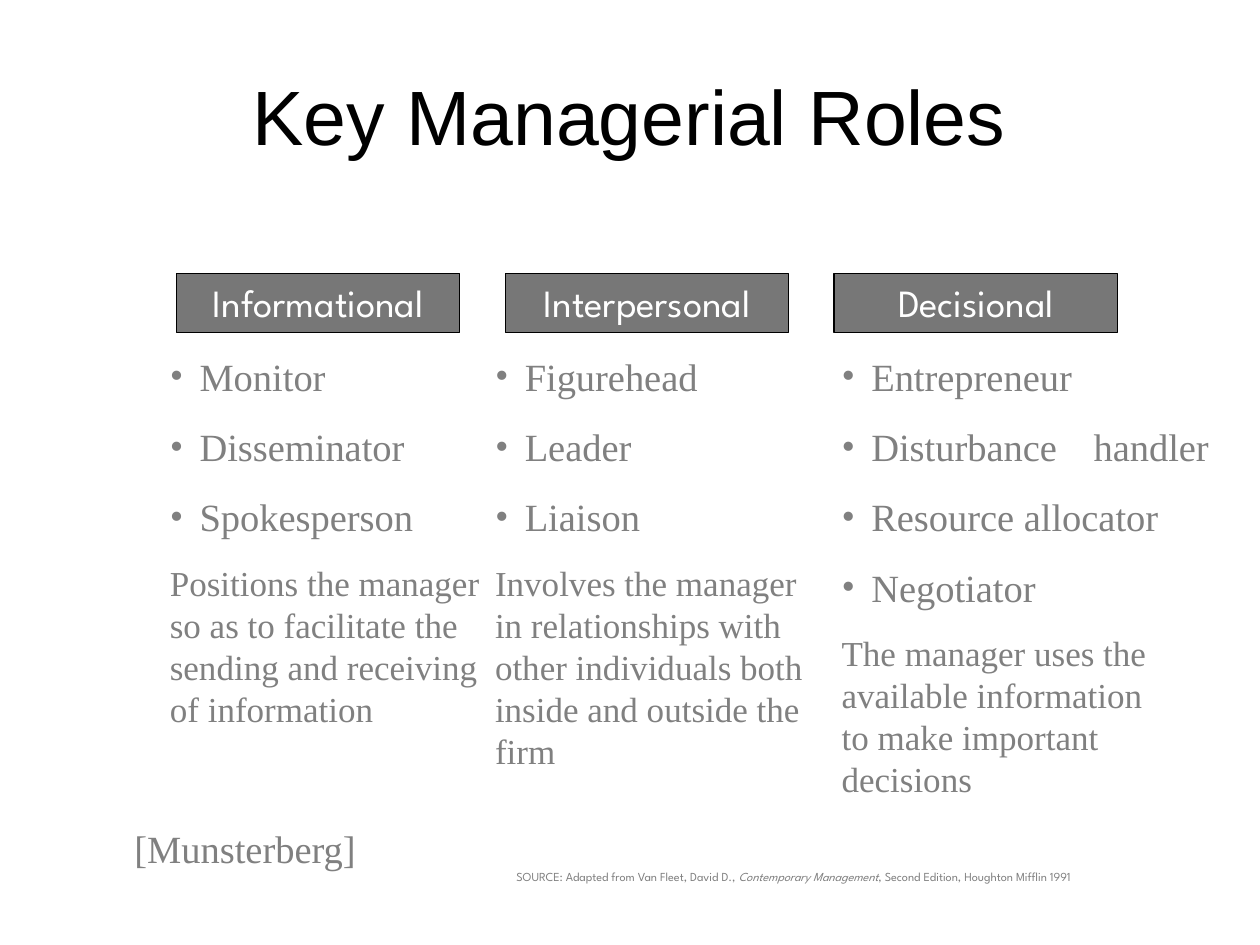
from lxml import etree
from pptx import Presentation
from pptx.dml.color import RGBColor
from pptx.enum.shapes import MSO_SHAPE
from pptx.enum.text import MSO_ANCHOR, PP_ALIGN
from pptx.oxml.ns import qn
from pptx.util import Pt

RECT = MSO_SHAPE.RECTANGLE
TOP, MIDDLE = MSO_ANCHOR.TOP, MSO_ANCHOR.MIDDLE
LEFT, CENTER = PP_ALIGN.LEFT, PP_ALIGN.CENTER

COLORS = {"title": "000000", "box": "777777", "line": "000000",
          "head": "FFFFFF", "body": "808080"}
SERIF, SPARTAN = "Times New Roman", "League Spartan"
TITLE = {"name": "Arial", "size": Pt(44)}
HEAD = {"name": SPARTAN, "size": Pt(22)}
ROLE = {"name": SERIF, "size": Pt(22)}
NOTE = {"name": SERIF, "size": Pt(20)}
SOURCE = {"name": SPARTAN, "size": Pt(7)}

# heading, text left, text width, roles, description
COLUMNS = [
    ("Informational", 90, 203.8, ["Monitor", "Disseminator", "Spokesperson"],
     "Positions the manager so as to facilitate the sending and receiving of information"),
    ("Interpersonal", 275.8, 203.8, ["Figurehead", "Leader", "Liaison"],
     "Involves the manager in relationships with other individuals both inside and outside the firm"),
    ("Decisional", 473.8, 238.3,
     ["Entrepreneur", "Disturbance\thandler", "Resource allocator", "Negotiator"],
     "The manager uses the available information \vto make important decisions"),
]
CITATION = [("SOURCE: Adapted from Van Fleet, David D., ", False),
            ("Contemporary Management", True),
            (", Second Edition, Houghton Mifflin 1991", False)]

HEAD_LEFT, HEAD_TOP, HEAD_W, HEAD_H, HEAD_STEP = 100.8, 156.2, 162, 33.8, 187.9
BODY_TOP, BODY_H = 198, 250
INDENT, TAB = 17, 144
LEADING = 1.2
SPACE_BEFORE = 0.625  # share of the text size


def style(p, fmt, color, align=LEFT, first=True):
    p.alignment = align
    p.line_spacing = Pt(round(fmt["size"].pt * LEADING, 1))
    if not first:
        p.space_before = Pt(round(fmt["size"].pt * SPACE_BEFORE, 1))
    for r in p.runs:
        for key, value in fmt.items():
            setattr(r.font, key, value)
        r.font.color.rgb = RGBColor.from_string(COLORS[color])


def add_bullet(p):
    pPr = p._p.get_or_add_pPr()
    pPr.set("marL", str(Pt(INDENT)))
    pPr.set("indent", str(-Pt(INDENT)))
    etree.SubElement(pPr, qn("a:buFont"), typeface=SERIF)
    etree.SubElement(pPr, qn("a:buChar"), char="•")
    if "\t" in p.text:
        tabs = etree.SubElement(pPr, qn("a:tabLst"))
        etree.SubElement(tabs, qn("a:tab"), pos=str(Pt(TAB)), algn="l")


def add_text(slide, left, top, width, height, wrap=True):
    tf = slide.shapes.add_textbox(Pt(left), Pt(top), Pt(width), Pt(height)).text_frame
    tf.word_wrap = wrap
    return tf


def add_heading(slide, left, text):
    sp = slide.shapes.add_shape(RECT, Pt(left), Pt(HEAD_TOP), Pt(HEAD_W), Pt(HEAD_H))
    sp.shadow.inherit = False
    sp.fill.solid()
    sp.fill.fore_color.rgb = RGBColor.from_string(COLORS["box"])
    sp.line.color.rgb = RGBColor.from_string(COLORS["line"])
    sp.line.width = Pt(0.75)
    tf = sp.text_frame
    tf.vertical_anchor = TOP
    p = tf.paragraphs[0]
    p.text = text
    style(p, HEAD, "head", CENTER)


def add_roles(slide, left, width, roles, note):
    tf = add_text(slide, left, BODY_TOP, width, BODY_H)
    for i, text in enumerate(roles + [note]):
        p = tf.paragraphs[0] if i == 0 else tf.add_paragraph()
        p.text = text
        is_role = i < len(roles)
        if is_role:
            add_bullet(p)
        style(p, ROLE if is_role else NOTE, "body", first=i == 0)


def main():
    prs = Presentation()
    prs.slide_width, prs.slide_height = Pt(720), Pt(540)
    slide = prs.slides.add_slide(prs.slide_layouts[6])

    tf = add_text(slide, 36, 10, 647.3, 111.6)
    tf.vertical_anchor = MIDDLE
    p = tf.paragraphs[0]
    p.text = "Key Managerial Roles"
    style(p, TITLE, "title", CENTER)
    p.line_spacing = 1.0

    for i, (heading, left, width, roles, note) in enumerate(COLUMNS):
        add_heading(slide, HEAD_LEFT + i * HEAD_STEP, heading)
        add_roles(slide, left, width, roles, note)

    p = add_text(slide, 288, 491.8, 470, 17.3).paragraphs[0]
    for text, italic in CITATION:
        r = p.add_run()
        r.text = text
        r.font.italic = italic
    style(p, SOURCE, "body")
    p.line_spacing = Pt(9.6)

    p = add_text(slide, 69.8, 468, 141.1, 33.8, wrap=False).paragraphs[0]
    p.text = "[Munsterberg]"
    style(p, ROLE, "body")

    prs.save("out.pptx")


if __name__ == "__main__":
    main()
